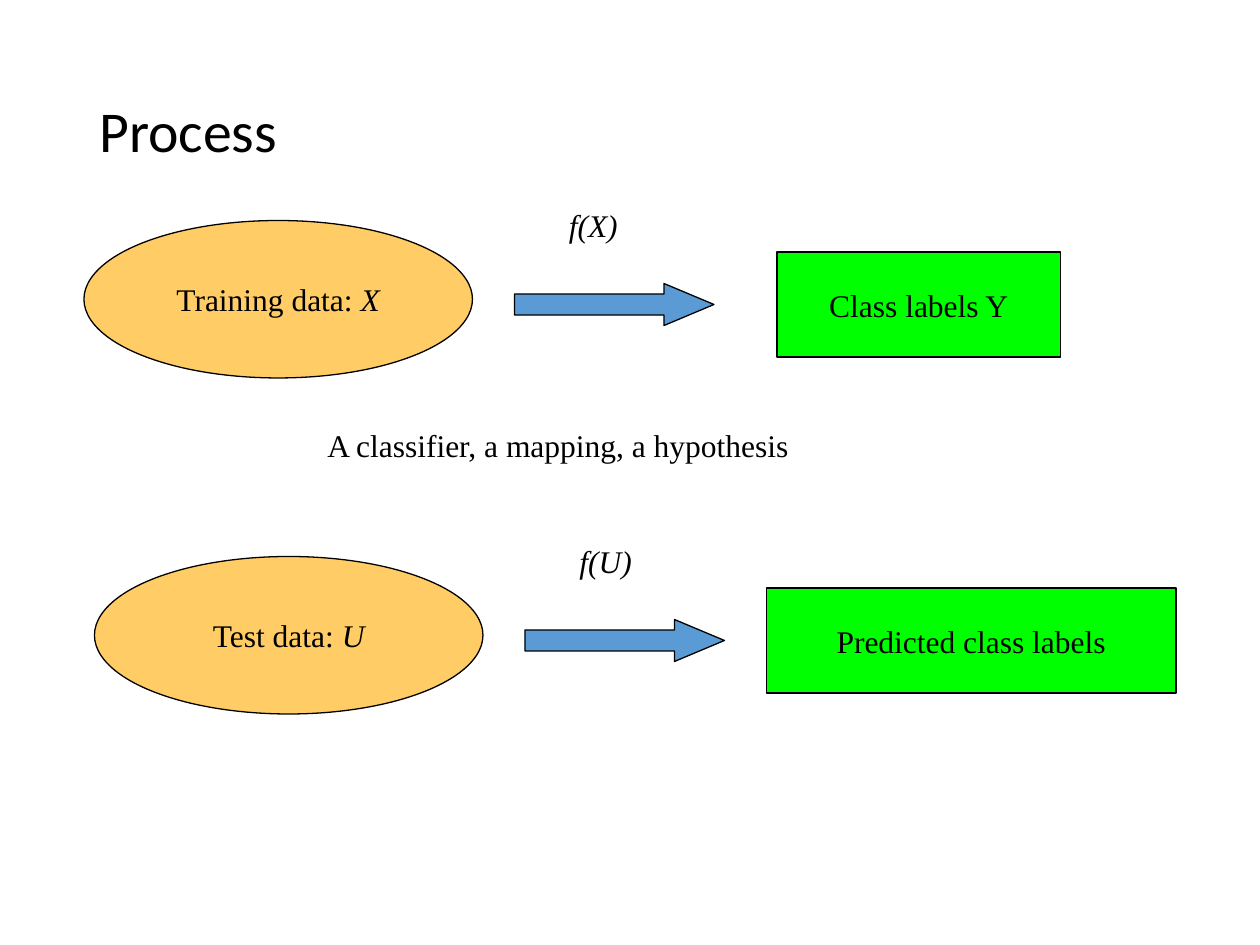
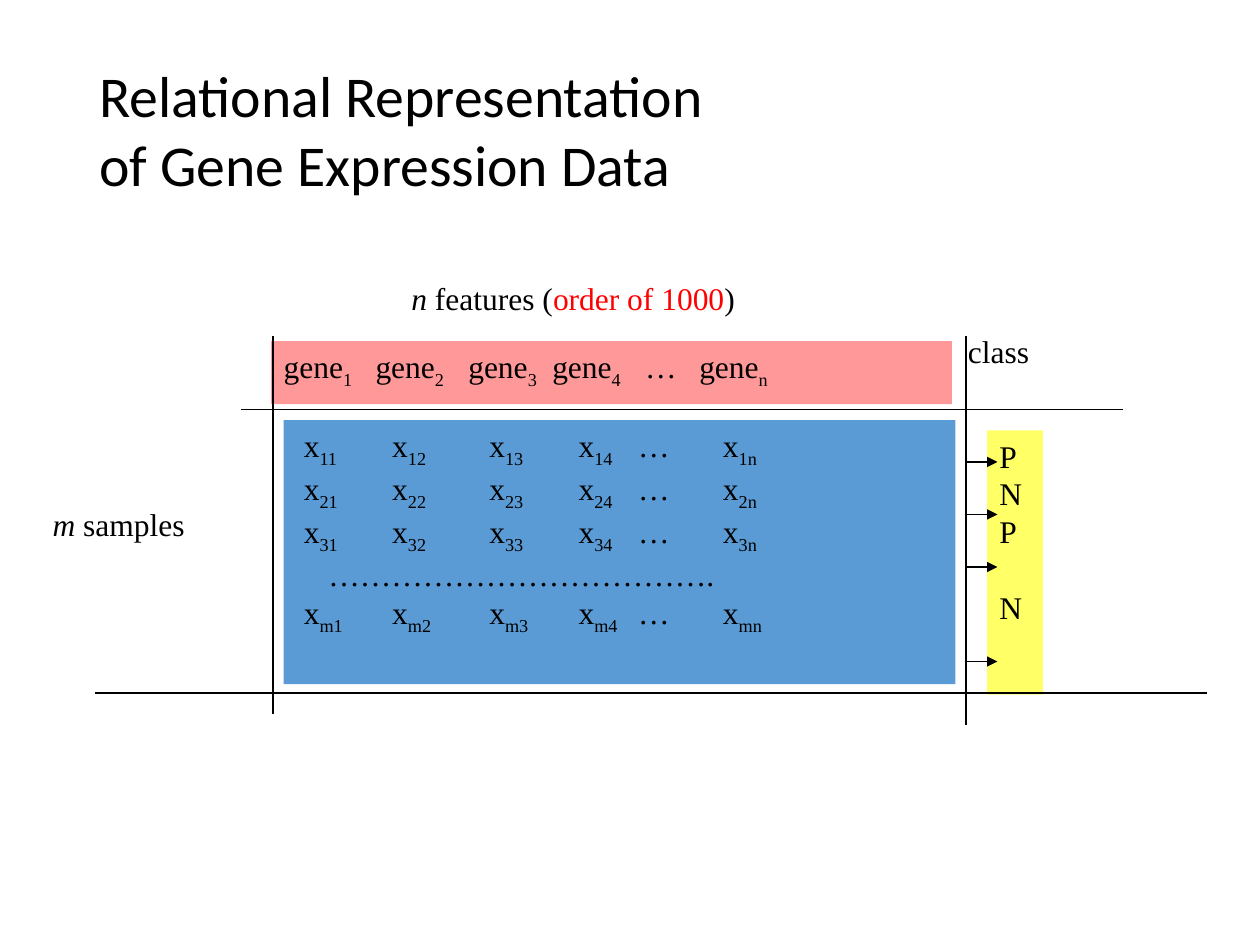
import pptx
import pptx.util
from pptx.dml.color import RGBColor
from pptx.enum.shapes import MSO_CONNECTOR, MSO_SHAPE
from pptx.enum.text import MSO_ANCHOR, PP_ALIGN
from pptx.oxml.ns import qn
import lxml.etree

Pt = pptx.util.Pt

BLACK = RGBColor(0x00, 0x00, 0x00)
RED = RGBColor(0xFF, 0x00, 0x00)
ORANGE = RGBColor(0xFF, 0xCC, 0x66)
BLUE = RGBColor(0x5B, 0x9B, 0xD5)
GREEN = RGBColor(0x00, 0xFF, 0x00)
YELLOW = RGBColor(0xFF, 0xFF, 0x66)
PINK = RGBColor(0xFF, 0x99, 0x99)

# Shared text styles
BODY = {"name": "Times New Roman", "size": Pt(18)}
STYLES = {
    "body": BODY,
    "red": BODY,
    "subscript": BODY,
    "italic": {**BODY, "italic": True},
    "title": {"name": "Calibri", "size": Pt(33)},
}
TITLE_PLACE = (49.7, 21.6, 620.6, 104.4)


def add_box(page, place, lines=(), kind=None, fill=None, outline=False,
            centred=False, middle=False, tabs=()):
    """Add a shape or text box; each line is a list of (text, style) spans."""
    place = [Pt(value) for value in place]
    if kind is None:
        box = page.shapes.add_textbox(*place)
    else:
        box = page.shapes.add_shape(kind, *place)
        box.shadow.inherit = False
        box.fill.solid()
        box.fill.fore_color.rgb = fill
        if outline:
            box.line.color.rgb = BLACK
            box.line.width = Pt(0.75)
        else:
            box.line.fill.background()
    frame = box.text_frame
    frame.word_wrap = True
    frame.vertical_anchor = MSO_ANCHOR.MIDDLE if middle else MSO_ANCHOR.TOP
    for index, line in enumerate(lines):
        para = frame.add_paragraph() if index else frame.paragraphs[0]
        para.alignment = PP_ALIGN.CENTER if centred else PP_ALIGN.LEFT
        if tabs:
            stops = lxml.etree.SubElement(para._p.get_or_add_pPr(), qn("a:tabLst"))
            for stop in tabs:
                lxml.etree.SubElement(stops, qn("a:tab"), pos=str(Pt(stop)), algn="l")
        for text, style in line:
            span = para.add_run()
            span.text = text
            for name, value in STYLES[style].items():
                setattr(span.font, name, value)
            span.font.color.rgb = RED if style == "red" else BLACK
            if style == "subscript":
                span._r.get_or_add_rPr().set("baseline", "-25000")
    return box


def add_line(page, start, end, arrow=False):
    line = page.shapes.add_connector(
        MSO_CONNECTOR.STRAIGHT, *[Pt(value) for value in (*start, *end)])
    line.line.color.rgb = BLACK
    line.line.width = Pt(0.75)
    properties = line._element.spPr
    if arrow:
        lxml.etree.SubElement(properties.find(qn("a:ln")), qn("a:tailEnd"), type="triangle")
    lxml.etree.SubElement(properties, qn("a:effectLst"))


deck = pptx.Presentation()
deck.slide_width = Pt(720)
deck.slide_height = Pt(540)

# Pages with their titles
pages = []
for title in (["Process"], ["Relational Representation", "of Gene Expression Data"]):
    page = deck.slides.add_slide(deck.slide_layouts[6])
    add_box(page, TITLE_PLACE, [[(text, "title")] for text in title], middle=True)
    pages.append(page)
process, relation = pages

# Process: data, function and labels, for training and for testing
steps = [
    (48, 126, "Training data: ", "X", "Class labels Y", 444, 162),
    (54, 318, "Test data: ", "U", "Predicted class labels", 438, 234),
]
for left, top, data, symbol, labels, labels_left, labels_width in steps:
    add_box(process, (left, top, 222, 90), [[(data, "body"), (symbol, "italic")]],
            MSO_SHAPE.OVAL, ORANGE, outline=True, centred=True, middle=True)
    arrow = add_box(process, (left + 246, top + 36, 114, 24), (),
                    MSO_SHAPE.RIGHT_ARROW, BLUE, outline=True)
    arrow.adjustments[1] = 1.19
    add_box(process, (labels_left, top + 18, labels_width, 60), [[(labels, "body")]],
            MSO_SHAPE.RECTANGLE, GREEN, outline=True, centred=True, middle=True)
    add_box(process, (left + 270, top - 12, 55, 36), [[(f"f({symbol})", "italic")]])
add_box(process, (180, 240, 368, 36), [[("A classifier, a mapping, a hypothesis", "body")]])

# Relation: matrix of expression values
columns = ["1", "2", "3", "4", "…", "n"]
matrix = []
for row in ["1", "2", "3", "…", "m"]:
    spans = []
    if row == "…":
        spans.append(("\t" + "…" * 12 + ".", "body"))
    else:
        for column in columns:
            if column == "…":
                spans.append(("\t…", "body"))
            else:
                spans += [("\tx", "body"), (row + column, "subscript")]
    matrix.append(spans)
values = add_box(relation, (162, 240, 384, 151), matrix, MSO_SHAPE.RECTANGLE, BLUE,
                 tabs=(4.5, 55, 110.5, 161.5, 195.5, 244))
dots = values.text_frame.paragraphs[3]
dots._p.pPr.find(qn("a:tabLst"))[0].set("pos", str(Pt(18.5)))

# Captions around the matrix
add_box(relation, (228, 156, 261, 36), [[
    ("n", "italic"), (" features (", "body"), ("order of 1000", "red"), (")", "body")]])
add_box(relation, (23, 285, 115, 36), [[("m", "italic"), (" samples", "body")]])
add_box(relation, (546, 186, 61, 36), [[("class", "body")]])

# Class labels, with a gap before the last sample
classes = add_box(relation, (564, 246, 32, 151), [[(label, "body")] for label in "PNPN"],
                  MSO_SHAPE.RECTANGLE, YELLOW)
classes.text_frame.paragraphs[3].space_before = Pt(21.5)

# Gene names
genes = []
for column in columns:
    lead = "\t" if genes else ""
    if column == "…":
        genes.append((lead + "…", "body"))
    else:
        genes += [(lead + "gene", "body"), (column, "subscript")]
add_box(relation, (155, 195, 389, 36), [genes], MSO_SHAPE.RECTANGLE, PINK,
        tabs=(52.5, 105.5, 153.5, 206.5, 237.5))

# Rules and arrows to the classes
for start, end in [((138, 234), (642, 234)), ((54, 396), (690, 396)),
                   ((552, 192), (552, 414)), ((156, 192), (156, 408))]:
    add_line(relation, start, end)
for height in (264, 294, 324, 378):
    add_line(relation, (552, height), (570, height), arrow=True)

deck.save("out.pptx")
